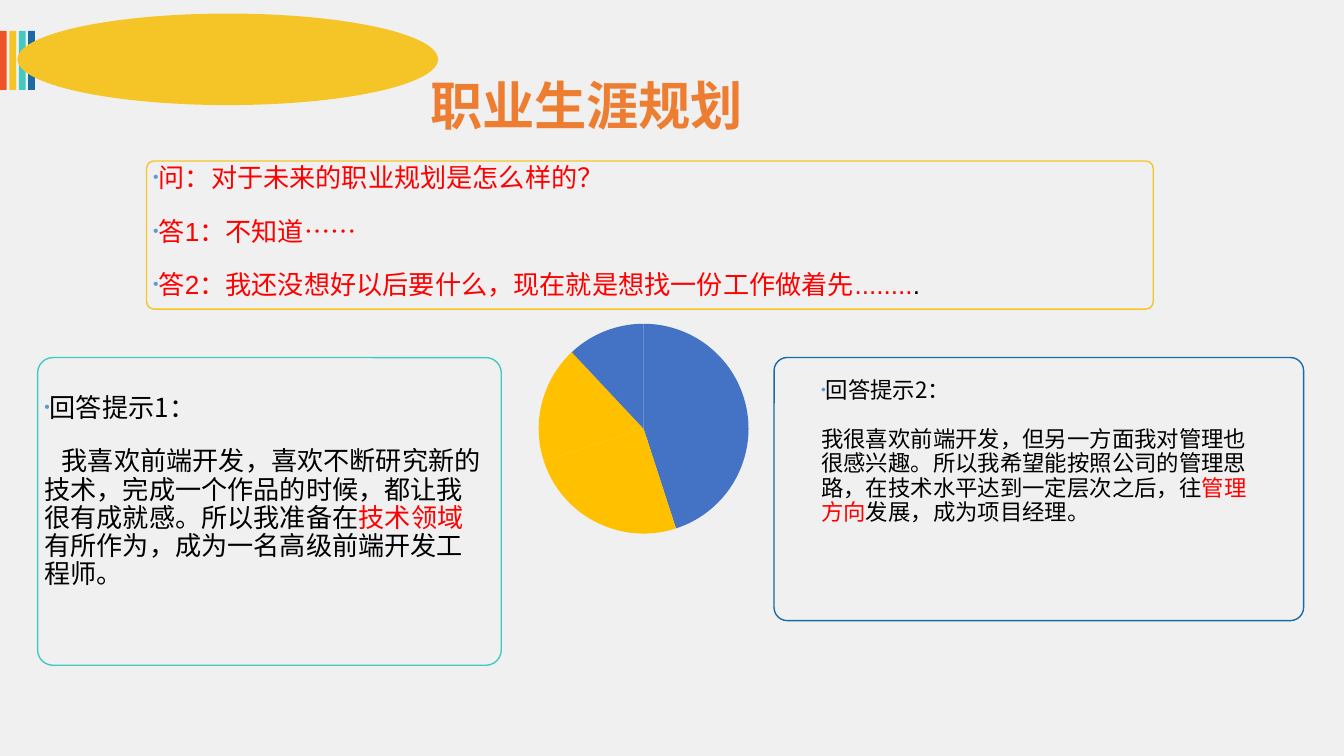
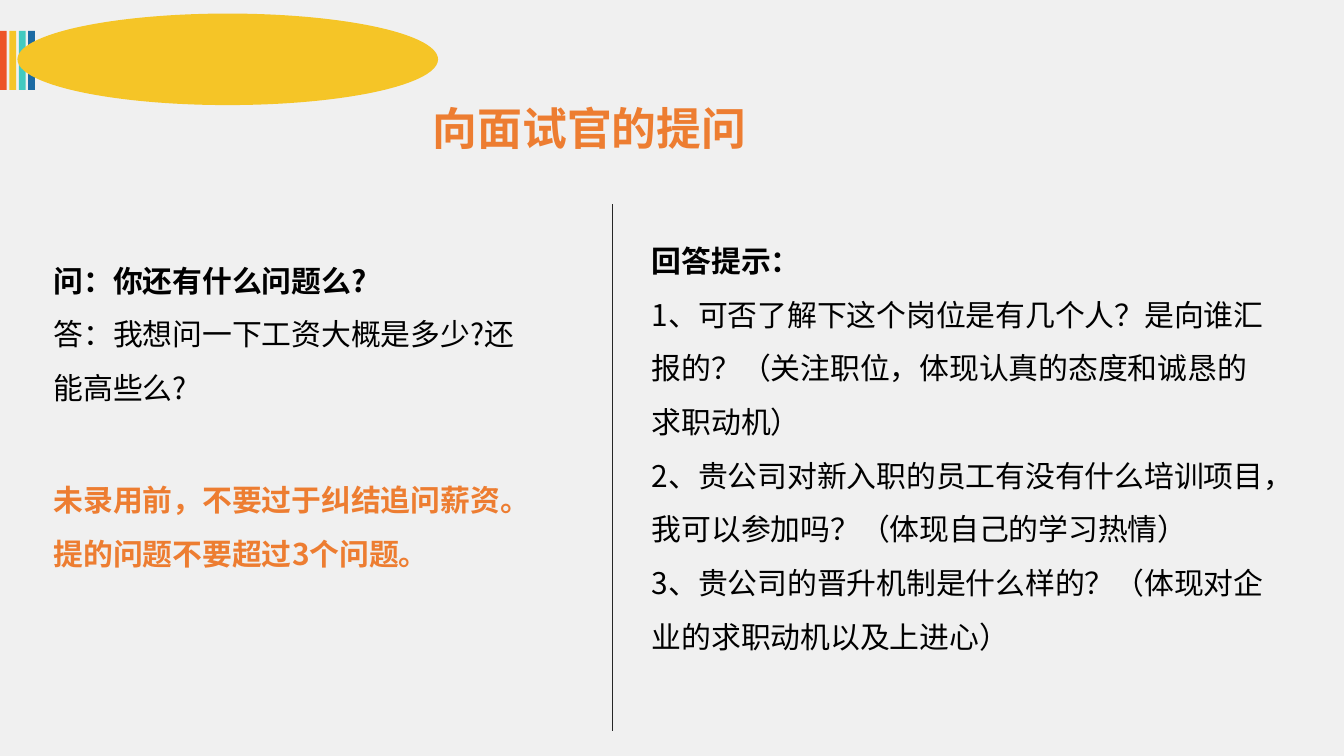
from lxml.etree import SubElement
from pptx import Presentation
from pptx.chart.data import CategoryChartData
from pptx.dml.color import RGBColor
from pptx.enum.chart import XL_CHART_TYPE as Chart
from pptx.enum.shapes import MSO_CONNECTOR as Connector, MSO_SHAPE as Preset
from pptx.enum.text import MSO_ANCHOR as Anchor, MSO_AUTO_SIZE as AutoSize, PP_ALIGN as Align
from pptx.oxml import parse_xml
from pptx.oxml.ns import nsdecls, qn
from pptx.util import Inches, Pt

YELLOW, TEAL, NAVY, ORANGE_RED = "F5C527", "42CAC0", "1B6AA3", "ED5326"
ORANGE, RED, BLACK = "ED7D31", "FF0000", "000000"
SANS = "Noto Sans CJK SC"
rgb = RGBColor.from_string

deck = Presentation()
deck.slide_width, deck.slide_height = Inches(10), Inches(5.625)


def share(left, top, width, height):
    """Turn percentages of the slide's width and height into lengths."""
    across, down = deck.slide_width / 100, deck.slide_height / 100
    return [round(n) for n in (left * across, top * down, width * across, height * down)]


def write(box, paragraphs, size, font=SANS, spacing=None, before=0, anchor=Anchor.TOP):
    """Fill a box; each paragraph is (marker, runs), each run (text, colour, bold).

    The marker is "•" for a bullet or a first-line indent in inches.
    """
    frame = box.text_frame
    frame.word_wrap, frame.auto_size = True, AutoSize.NONE
    frame.vertical_anchor = anchor
    frame.margin_left = frame.margin_right = Inches(0.05)
    frame.margin_top = frame.margin_bottom = Inches(0.03)
    for number, (marker, runs) in enumerate(paragraphs):
        paragraph = frame.add_paragraph() if number else frame.paragraphs[0]
        props = paragraph._p.get_or_add_pPr()
        props.set("marL", "0")
        props.set("indent", "0" if marker == "•" else str(Inches(marker)))
        if marker == "•":
            SubElement(SubElement(props, qn("a:buClr")), qn("a:srgbClr"), val="5B9BD5")
            SubElement(props, qn("a:buSzPct"), val="60000")
            SubElement(props, qn("a:buFont"), typeface="Arial")
            SubElement(props, qn("a:buChar"), char=marker)
        paragraph.alignment = Align.LEFT
        if spacing:
            paragraph.line_spacing = spacing
        paragraph.space_before = Pt(before if number else 0)
        for text, colour, bold in runs:
            run = paragraph.add_run()
            run.text = text
            run.font.name, run.font.size, run.font.bold = font, Pt(size), bold
            run.font.color.rgb = rgb(colour)
            SubElement(run._r.get_or_add_rPr(), qn("a:ea"), typeface=SANS)


# Both slides: background, colour bars, ellipse and title
titles = [
    ("职业生涯规划", 28, (31.5, 9.2, 65, 9.2), Anchor.MIDDLE),
    ("向面试官的提问", 24, (31.7, 12.8, 43.4, 8), Anchor.TOP),
]
for heading, size, area, anchor in titles:
    slide = deck.slides.add_slide(deck.slide_layouts[5])
    slide.background.fill.solid()
    slide.background.fill.fore_color.rgb = rgb("F0F0F0")
    header = [(Preset.RECTANGLE, (0.7 * n, 4.1, 0.5, 7.8), colour)
              for n, colour in enumerate((ORANGE_RED, YELLOW, TEAL, NAVY))]
    header.append((Preset.OVAL, (1.3, 1.8, 31.3, 12.1), YELLOW))
    for preset, place, colour in header:
        mark = slide.shapes.add_shape(preset, *share(*place))
        mark.shadow.inherit = False
        mark.fill.solid()
        mark.fill.fore_color.rgb = rgb(colour)
        mark.line.fill.background()
    title = slide.shapes.title
    title.left, title.top, title.width, title.height = share(*area)
    write(title, [(0, [(heading, ORANGE, True)])], size, anchor=anchor)

career, questions = deck.slides

# Slide 1: pie between the question and two suggested answers
shares = CategoryChartData()
shares.categories = ["1", "2", "3", "4"]
shares.add_series("Series 1", (45, 25, 18, 12))
pie = career.shapes.add_chart(Chart.PIE, *share(29.5, 42.3, 34.7, 32.4), shares).chart
pie.has_legend = pie.has_title = False
pie.font.name, pie.font.size = "Arial", Pt(18)
pie.font.color.rgb = rgb(BLACK)
plot = pie.plots[0]
plot.vary_by_categories = True
for n, colour in enumerate(("4472C4", "FFC000", "FFC000", "4472C4")):
    slice_format = plot.series[0].points[n].format
    slice_format.fill.solid()
    slice_format.fill.fore_color.rgb = rgb(colour)
    slice_format.line.fill.background()
plot_area = pie._chartSpace.chart.plotArea
for unset in plot_area.findall(qn("c:layout")):
    plot_area.remove(unset)
plot_area.insert(0, parse_xml(
    f'<c:layout {nsdecls("c")}><c:manualLayout><c:layoutTarget val="inner"/>'
    '<c:xMode val="edge"/><c:yMode val="edge"/><c:x val="0.305"/><c:y val="0.01"/>'
    '<c:w val="0.45"/><c:h val="0.87"/></c:manualLayout></c:layout>'))

cards = [
    (YELLOW, (10.9, 21.3, 74.9, 19.6), (10.9, 21.3, 67.2, 26), 14, "Arial", [
        ("•", [("问：对于未来的职业规划是怎么样的？", RED, False)]),
        ("•", [("答1：不知道……", RED, False)]),
        ("•", [("答2：我还没想好以后要什么，现在就是想找一份工作做着先........", RED, False),
               (".", BLACK, False)]),
    ]),
    (TEAL, (2.8, 47.3, 34.5, 40.7), (2.8, 51.7, 33.7, 32.5), 14, SANS, [
        ("•", [("回答提示1：", BLACK, False)]),
        (0.13, [("我喜欢前端开发，喜欢不断研究新的技术，完成一个作品的时候，都让我很有成就感。"
                 "所以我准备在", BLACK, False),
                ("技术领域", RED, False),
                ("有所作为，成为一名高级前端开发工程师。", BLACK, False)]),
    ]),
    (NAVY, (57.6, 47.3, 39.4, 34.8), (60.6, 49.6, 33.5, 20.4), 12, SANS, [
        ("•", [("回答提示2：", BLACK, False)]),
        (0, [("我很喜欢前端开发，但另一方面我对管理也很感兴趣。所以我希望能按照公司的管理思路，"
              "在技术水平达到一定层次之后，往", BLACK, False),
             ("管理方向", RED, False),
             ("发展，成为项目经理。", BLACK, False)]),
    ]),
]
for colour, outline, area, size, font, answer in cards:
    card = career.shapes.add_shape(Preset.ROUNDED_RECTANGLE, *share(*outline))
    card.adjustments[0] = 0.05
    card.shadow.inherit = False
    card.fill.background()
    card.line.color.rgb, card.line.width = rgb(colour), Pt(0.75)
    write(career.shapes.add_textbox(*share(*area)), answer, size, font, 0.9, 13.5)

# Slide 2: question and advice left of the divider, suggestions right
x, top, _, drop = share(45.6, 27, 0, 69.7)
divider = questions.shapes.add_connector(Connector.STRAIGHT, x, top, x, top + drop)
divider.line.color.rgb, divider.line.width = rgb("262626"), Pt(0.5)
SubElement(divider._element.spPr, qn("a:effectLst"))

columns = [
    ((3.5, 31.8, 35.6, 22.4), [
        ("问：你还有什么问题么?", BLACK, True),
        ("答：我想问一下工资大概是多少?还能高些么?", BLACK, False),
    ]),
    ((3.5, 60.8, 43.3, 18.3), [
        ("未录用前，不要过于纠结追问薪资。", ORANGE, True),
        ("提的问题不要超过3个问题。", ORANGE, True),
    ]),
    ((48, 29.2, 47.3, 58.3), [
        ("回答提示：", BLACK, True),
        ("1、可否了解下这个岗位是有几个人？是向谁汇报的？（关注职位，体现认真的态度和诚恳的求职动机）",
         BLACK, False),
        ("2、贵公司对新入职的员工有没有什么培训项目，我可以参加吗？（体现自己的学习热情）", BLACK, False),
        ("3、贵公司的晋升机制是什么样的？（体现对企业的求职动机以及上进心）", BLACK, False),
    ]),
]
for area, lines in columns:
    write(questions.shapes.add_textbox(*share(*area)), [(0, [line]) for line in lines], 16, spacing=1.5)

deck.save("out.pptx")
